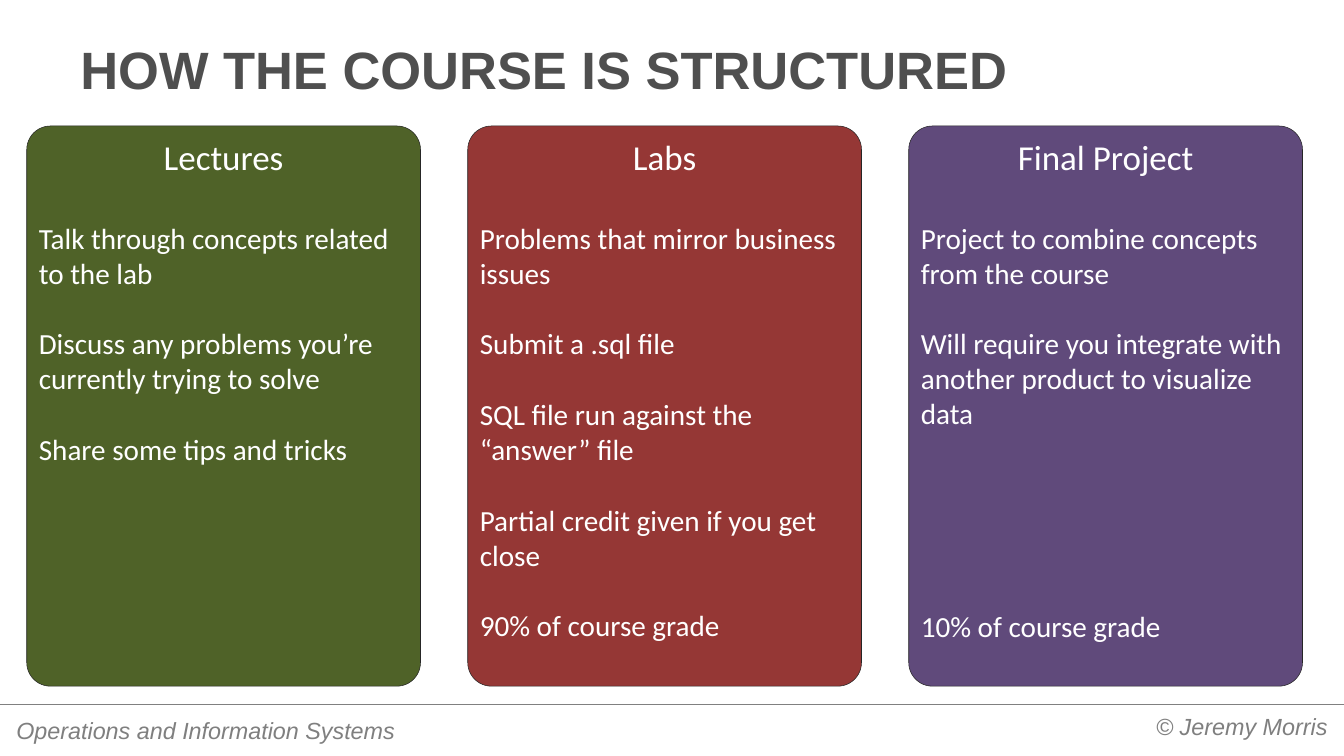
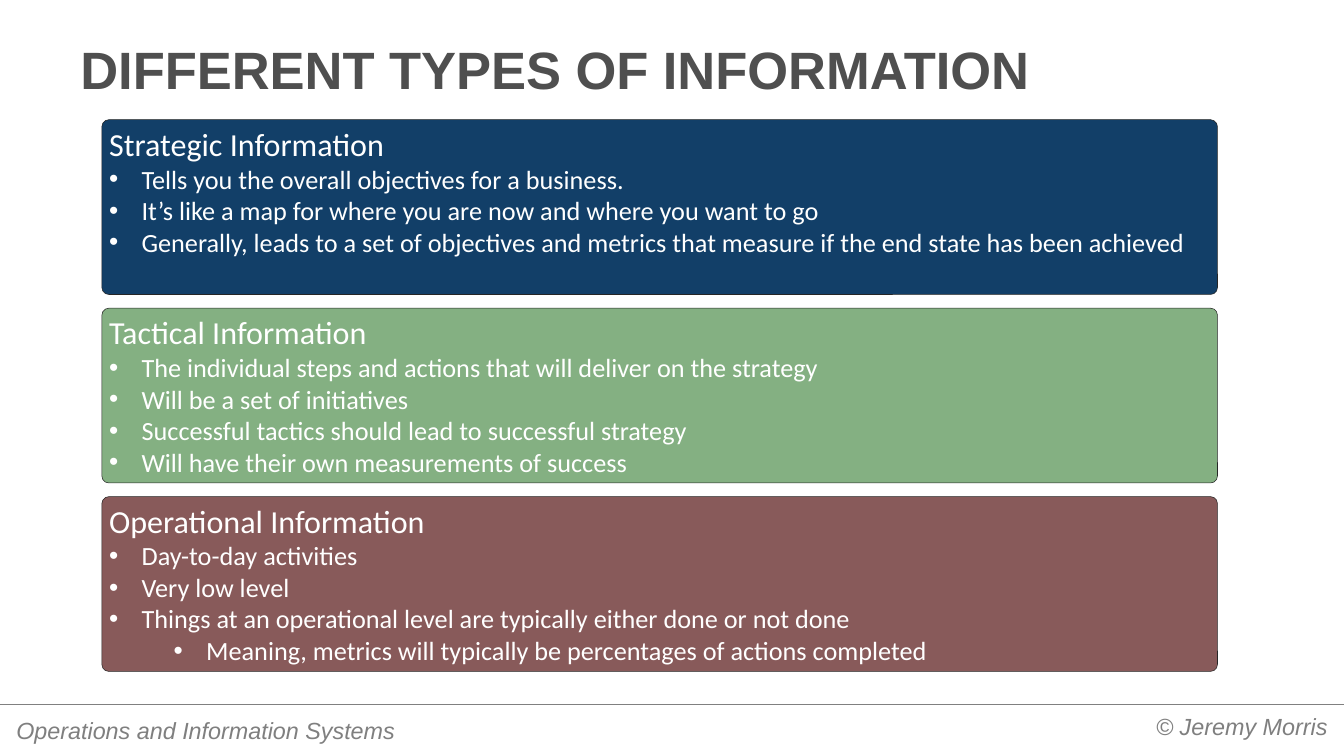
from dataclasses import dataclass

from lxml.etree import SubElement
from pptx import Presentation
from pptx.dml.color import RGBColor
from pptx.enum.shapes import MSO_CONNECTOR, MSO_SHAPE
from pptx.enum.text import MSO_ANCHOR, MSO_AUTO_SIZE, PP_ALIGN
from pptx.oxml.ns import qn
from pptx.util import Emu, Pt


@dataclass(frozen=True)
class Theme:
    heading_font: str = "Arial"
    body_font: str = "Calibri"
    title_color: str = "4F4F4F"
    footer_color: str = "7F7F7F"
    rule_color: str = "808080"
    outline_color: str = "262626"
    panel_text: str = "FFFFFF"
    green: str = "4F6228"
    red: str = "953735"
    purple: str = "604A7B"
    navy: str = "123F68"
    sage: str = "84B082"
    rose: str = "885A5A"
    title_size: int = 72
    footer_size: int = 32
    column_heading_size: int = 48
    column_text_size: int = 40
    row_heading_size: int = 44
    row_text_size: int = 36
    hairline: float = 0.75
    line_height: float = 1.22


THEME = Theme()
EMU_PER_PX = 9144
SLIDE_WIDTH, SLIDE_HEIGHT = 2560, 1440
TITLE_ONLY_LAYOUT = 5
BULLET_INDENT, BULLET_STEP = 62, 123

COLUMNS = [
    ("Lectures", THEME.green, [
        (1, "Talk through concepts related to the lab"),
        (1, "Discuss any problems you’re currently trying to solve"),
        (1, "Share some tips and tricks"),
    ]),
    ("Labs", THEME.red, [
        (1, "Problems that mirror business issues"),
        (1, "Submit a .sql file"),
        (1, "SQL file run against the “answer” file"),
        (1, "Partial credit given if you get close"),
        (1, "90% of course grade"),
    ]),
    ("Final Project", THEME.purple, [
        (1, "Project to combine concepts from the course"),
        (1, "Will require you integrate with another product to visualize data"),
        (5, "10% of course grade"),
    ]),
]

ROWS = [
    ("Strategic Information", THEME.navy, [
        (0, "Tells you the overall objectives for a business."),
        (0, "It’s like a map for where you are now and where you want to go"),
        (0, "Generally, leads to a set of objectives and metrics that measure "
            "if the end state has been achieved"),
    ]),
    ("Tactical Information", THEME.sage, [
        (0, "The individual steps and actions that will deliver on the strategy"),
        (0, "Will be a set of initiatives"),
        (0, "Successful tactics should lead to successful strategy"),
        (0, "Will have their own measurements of success"),
    ]),
    ("Operational Information", THEME.rose, [
        (0, "Day-to-day activities"),
        (0, "Very low level"),
        (0, "Things at an operational level are typically either done or not done"),
        (1, "Meaning, metrics will typically be percentages of actions completed"),
    ]),
]


def px(length):
    return Emu(length * EMU_PER_PX)


def box(left, top, width, height):
    return px(left), px(top), px(width), px(height)


def rgb(color):
    return RGBColor.from_string(color)


def set_margins(frame, horizontal, vertical):
    frame.margin_left = frame.margin_right = px(horizontal)
    frame.margin_top = frame.margin_bottom = px(vertical)


def set_font(paragraph, name, size, color, bold=False, italic=False):
    font = paragraph.font
    font.name, font.size = name, Pt(size)
    font.bold, font.italic = bold, italic
    font.color.rgb = rgb(color)


def set_bullet(paragraph, level):
    paragraph.level = level
    properties = paragraph._p.get_or_add_pPr()
    properties.set("marL", str(px(BULLET_INDENT + level * BULLET_STEP)))
    properties.set("indent", str(px(-BULLET_INDENT)))
    SubElement(properties, qn("a:buFont")).set("typeface", THEME.heading_font)
    SubElement(properties, qn("a:buChar")).set("char", "•")


def add_rule(slide, top):
    rule = slide.shapes.add_connector(
        MSO_CONNECTOR.STRAIGHT, px(0), px(top), px(SLIDE_WIDTH), px(top))
    rule.line.color.rgb = rgb(THEME.rule_color)
    rule.line.width = Pt(THEME.hairline)
    SubElement(rule.element.spPr, qn("a:effectLst"))
    return rule


def add_footer(slide, text, bounds, alignment):
    footer = slide.shapes.add_textbox(*box(*bounds))
    frame = footer.text_frame
    frame.word_wrap = True
    set_margins(frame, 18, 9)
    paragraph = frame.paragraphs[0]
    paragraph.text = text
    paragraph.alignment = alignment
    set_font(paragraph, THEME.heading_font, THEME.footer_size,
             THEME.footer_color, italic=True)
    return footer


def add_shared_frame(slide):
    frame_shapes = [
        add_rule(slide, 1341),
        add_footer(slide, "© Jeremy Morris", (1458, 1348, 1089, 72), PP_ALIGN.RIGHT),
        add_footer(slide, "Operations and Information Systems",
                   (13, 1356, 875, 72), PP_ALIGN.LEFT),
    ]
    layout_shapes = slide.slide_layout.shapes
    first_id = max(shape.shape_id for shape in layout_shapes) + 1
    for shape_id, shape in enumerate(frame_shapes, first_id):
        shape.element.xpath(".//p:cNvPr")[0].set("id", str(shape_id))
        layout_shapes.element.append(shape.element)


def set_title(slide, text):
    title = slide.shapes.title
    title.left, title.top, title.width, title.height = box(128, 53, 2304, 149)
    frame = title.text_frame
    frame.text = text
    frame.auto_size = MSO_AUTO_SIZE.NONE
    frame.vertical_anchor = MSO_ANCHOR.BOTTOM
    set_margins(frame, 25, 12)
    paragraph = frame.paragraphs[0]
    paragraph.alignment = PP_ALIGN.LEFT
    set_font(paragraph, THEME.heading_font, THEME.title_size,
             THEME.title_color, bold=True)


def add_panel(slide, bounds, color, rounding, heading, heading_size, alignment):
    panel = slide.shapes.add_shape(MSO_SHAPE.ROUNDED_RECTANGLE, *box(*bounds))
    panel.adjustments[0] = rounding
    panel.shadow.inherit = False
    panel.fill.solid()
    panel.fill.fore_color.rgb = rgb(color)
    panel.line.color.rgb = rgb(THEME.outline_color)
    panel.line.width = Pt(THEME.hairline)
    frame = panel.text_frame
    frame.word_wrap = True
    frame.vertical_anchor = MSO_ANCHOR.TOP
    paragraph = frame.paragraphs[0]
    paragraph.text = heading
    paragraph.alignment = alignment
    set_font(paragraph, THEME.body_font, heading_size, THEME.panel_text)
    return frame


def add_item(frame, text, size):
    paragraph = frame.add_paragraph()
    paragraph.text = text
    paragraph.alignment = PP_ALIGN.LEFT
    set_font(paragraph, THEME.body_font, size, THEME.panel_text)
    return paragraph


def add_column(slide, index, heading, color, items):
    frame = add_panel(slide, (51 + index * 840, 240, 750, 1067), color, 0.06,
                      heading, THEME.column_heading_size, PP_ALIGN.CENTER)
    gap_size = THEME.column_heading_size
    for gap_lines, text in items:
        paragraph = add_item(frame, text, THEME.column_text_size)
        paragraph.space_before = Pt(gap_lines * gap_size * THEME.line_height)
        gap_size = THEME.column_text_size


def add_row(slide, index, heading, color, items):
    frame = add_panel(slide, (194, 228 + index * 359, 2125, 333), color, 0.04,
                      heading, THEME.row_heading_size, PP_ALIGN.LEFT)
    for level, text in items:
        paragraph = frame.add_paragraph()
        paragraph.text = text
        paragraph.alignment = PP_ALIGN.LEFT
        set_bullet(paragraph, level)
        set_font(paragraph, THEME.body_font, THEME.row_text_size, THEME.panel_text)


def add_panel_slide(presentation, title, add_section, sections):
    layout = presentation.slide_layouts[TITLE_ONLY_LAYOUT]
    slide = presentation.slides.add_slide(layout)
    set_title(slide, title)
    for index, section in enumerate(sections):
        add_section(slide, index, *section)
    return slide


def main():
    presentation = Presentation()
    presentation.slide_width = px(SLIDE_WIDTH)
    presentation.slide_height = px(SLIDE_HEIGHT)
    first_slide = add_panel_slide(
        presentation, "HOW THE COURSE IS STRUCTURED", add_column, COLUMNS)
    add_shared_frame(first_slide)
    add_panel_slide(presentation, "DIFFERENT TYPES OF INFORMATION", add_row, ROWS)
    presentation.save("out.pptx")


if __name__ == "__main__":
    main()
